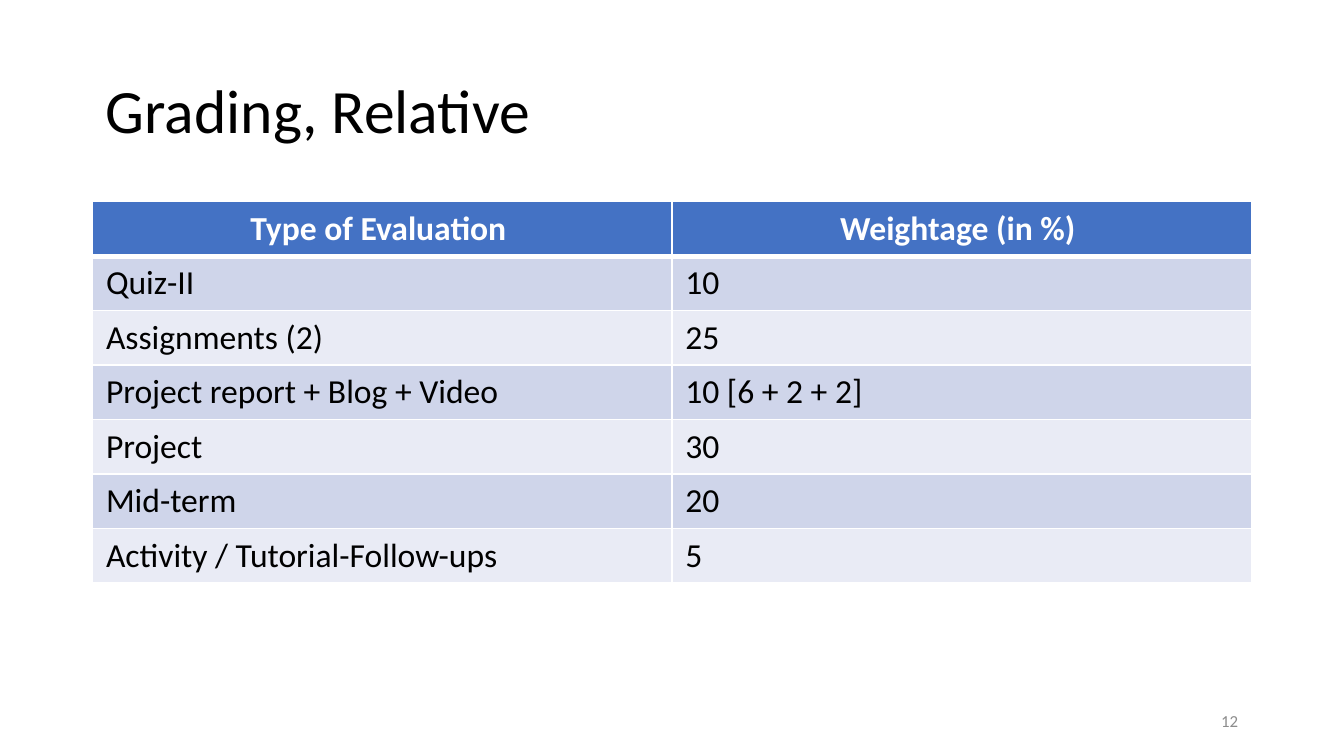
from dataclasses import dataclass

from lxml import etree
from pptx import Presentation
from pptx.dml.color import RGBColor
from pptx.enum.text import MSO_ANCHOR, PP_ALIGN
from pptx.oxml.ns import qn
from pptx.util import Cm, Pt

LEFT, CENTER, RIGHT = PP_ALIGN.LEFT, PP_ALIGN.CENTER, PP_ALIGN.RIGHT
MIDDLE = MSO_ANCHOR.MIDDLE

FONT = "Calibri"
BLACK = RGBColor(0x00, 0x00, 0x00)
WHITE = RGBColor(0xFF, 0xFF, 0xFF)
GRAY = RGBColor(0x8C, 0x8C, 0x8C)
HEADER_BLUE = RGBColor(0x44, 0x72, 0xC4)
BANDS = (RGBColor(0xCF, 0xD5, 0xEA), RGBColor(0xE9, 0xEB, 0xF5))

MARGIN = Cm(1.75)
CONTENT_WIDTH = Cm(21.9)
ROW_HEIGHT = Cm(1.03)
THIN, THICK = Pt(1), Pt(3)


@dataclass(frozen=True)
class Grade:
    evaluation: str
    weightage: str


HEADER = Grade("Type of Evaluation ", "Weightage (in %) ")
GRADES = (
    Grade("Quiz-II", "10"),
    Grade("Assignments (2)", "25"),
    Grade("Project report + Blog + Video", "10 [6 + 2 + 2]"),
    Grade("Project", "30"),
    Grade("Mid-term", "20"),
    Grade("Activity / Tutorial-Follow-ups", "5"),
)


def write(tf, text: str, *, size: float, color=BLACK, bold=False,
          align=LEFT, spacing=None) -> None:
    p = tf.paragraphs[0]
    p.alignment = align
    p.line_spacing = spacing
    r = p.add_run()
    r.text = text
    r.font.name = FONT
    r.font.size = Pt(size)
    r.font.bold = bold
    r.font.color.rgb = color


def add_text(slide, left, top, width, height, text: str, **fmt) -> None:
    tf = slide.shapes.add_textbox(left, top, width, height).text_frame
    tf.word_wrap = True
    tf.vertical_anchor = MIDDLE
    write(tf, text, **fmt)


def set_borders(cell, top: int, bottom: int) -> None:
    """Draw white cell borders; call before setting the fill."""
    tcPr = cell._tc.get_or_add_tcPr()
    for side, width in (("L", THIN), ("R", THIN), ("T", top), ("B", bottom)):
        ln = etree.SubElement(tcPr, qn(f"a:ln{side}"), w=str(int(width)))
        fill = etree.SubElement(ln, qn("a:solidFill"))
        etree.SubElement(fill, qn("a:srgbClr"), val=str(WHITE))


def add_grade_table(slide, header: Grade, grades: tuple[Grade, ...]) -> None:
    rows = (header, *grades)
    table = slide.shapes.add_table(
        len(rows), 2, MARGIN, Cm(3.81), CONTENT_WIDTH, ROW_HEIGHT * len(rows)
    ).table
    for i, grade in enumerate(rows):
        table.rows[i].height = ROW_HEIGHT
        is_header = i == 0
        for j, text in enumerate((grade.evaluation, grade.weightage)):
            cell = table.cell(i, j)
            set_borders(cell, THICK if i == 1 else THIN,
                        THICK if is_header else THIN)
            cell.fill.solid()
            cell.fill.fore_color.rgb = HEADER_BLUE if is_header else BANDS[(i - 1) % 2]
            write(cell.text_frame, text, size=18, bold=is_header,
                  color=WHITE if is_header else BLACK,
                  align=CENTER if is_header else LEFT)


def main() -> None:
    prs = Presentation()
    prs.slide_width, prs.slide_height = Cm(25.4), Cm(14.29)
    slide = prs.slides.add_slide(prs.slide_layouts[6])
    add_text(slide, MARGIN, Cm(0.76), CONTENT_WIDTH, Cm(2.76),
             "Grading, Relative", size=33, spacing=0.9)
    add_grade_table(slide, HEADER, GRADES)
    add_text(slide, Cm(17.94), Cm(13.24), Cm(5.71), Cm(0.76),
             "12", size=9, color=GRAY, align=RIGHT)
    prs.save("out.pptx")


if __name__ == "__main__":
    main()
